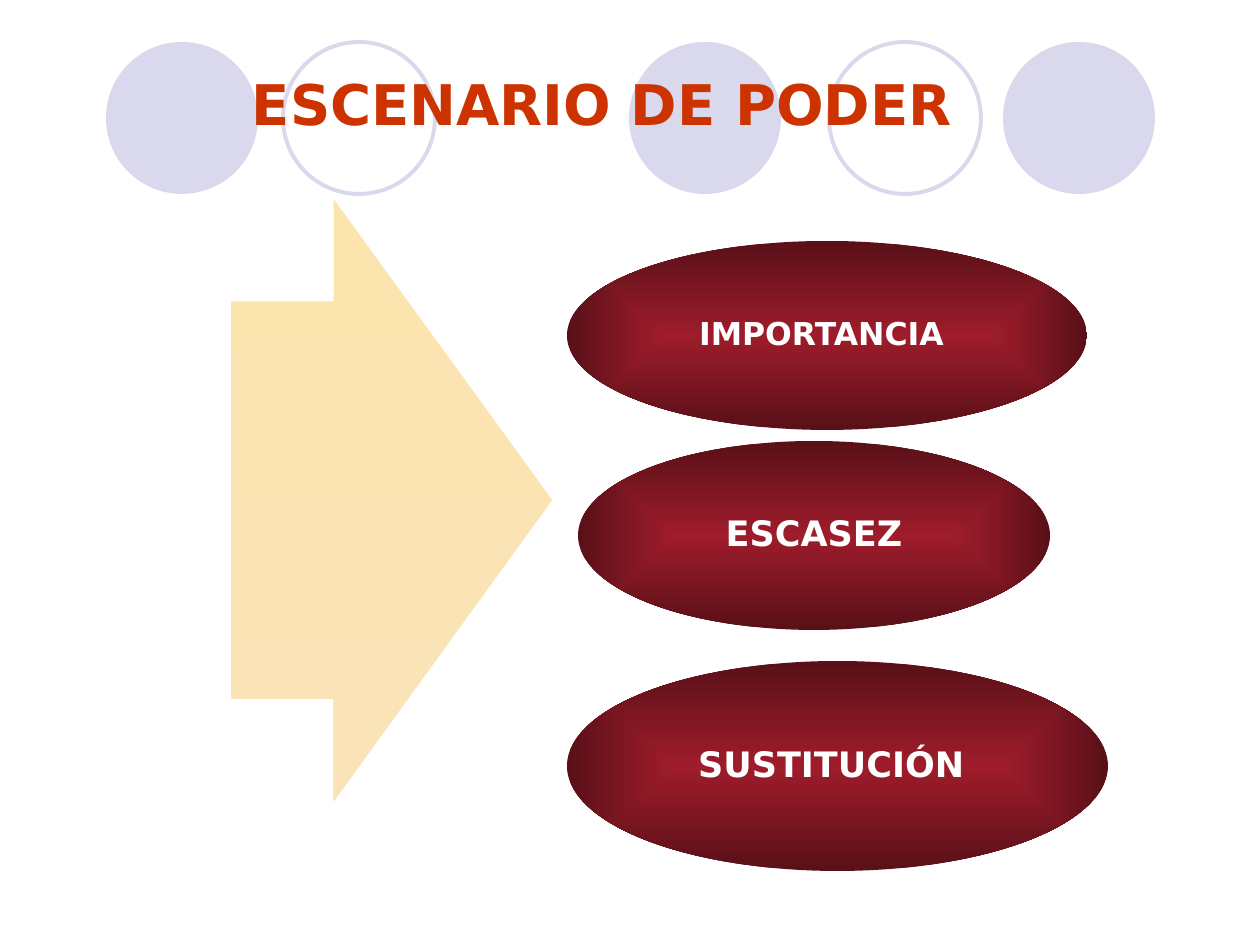
import pptx
import pptx.util
import pptx.dml.color
import pptx.enum.shapes
import pptx.enum.text
import pptx.oxml
import pptx.oxml.ns

EMU_PER_PX = 914400 // 126
FONT = "DejaVu Sans"
COLORS = {
    "circle": "D9D8EC",
    "title": "CC3300",
    "arrow_top": "FBE4AE",
    "arrow_bottom": "FAE3B7",
    "oval_center": "9E1C2B",
    "oval_edge": "591018",
    "oval_text": "FFFFFF",
}

TITLE = "ESCENARIO DE PODER"
TITLE_BOX = (100, 49, 1061, 100)
CIRCLE_SIZE = 152
CIRCLES = [
    (629, 42, True),
    (1003, 42, True),
    (106, 42, True),
    (829, 42, False),
    (283, 42, False),
]
ARROW_BOX = (231, 199, 321, 602)
OVALS = [
    ("IMPORTANCIA ", 18, (567, 241, 520, 189)),
    ("SUSTITUCIÓN ", 20, (567, 661, 541, 210)),
    ("ESCASEZ", 20, (578, 441, 472, 189)),
]
SHAPES = pptx.enum.shapes.MSO_SHAPE
CENTER_PATH = (
    '<a:path %s path="rect"><a:fillToRect l="50000" t="50000" r="50000" b="50000"/></a:path>'
    % pptx.oxml.ns.nsdecls("a")
)


def px(value):
    return pptx.util.Emu(value * EMU_PER_PX)


def rgb(name):
    return pptx.dml.color.RGBColor.from_string(COLORS[name])


def add_plain_shape(slide, kind, box):
    shape = slide.shapes.add_shape(kind, *map(px, box))
    shape.shadow.inherit = False
    shape.line.fill.background()
    return shape


def fill_gradient(shape, names, from_center=False):
    shape.fill.gradient()
    for stop, name in zip(shape.fill.gradient_stops, names):
        stop.color.rgb = rgb(name)
    shape.fill.gradient_angle = 270
    if from_center:
        linear = shape._element.spPr.find(".//" + pptx.oxml.ns.qn("a:lin"))
        linear.getparent().replace(linear, pptx.oxml.parse_xml(CENTER_PATH))


def write_text(shape, text, size, color, wrap):
    frame = shape.text_frame
    frame.text = text
    frame.word_wrap = wrap
    frame.vertical_anchor = pptx.enum.text.MSO_ANCHOR.MIDDLE
    paragraph = frame.paragraphs[0]
    paragraph.alignment = pptx.enum.text.PP_ALIGN.CENTER
    font = paragraph.runs[0].font
    font.name = FONT
    font.size = pptx.util.Pt(size)
    font.bold = True
    font.color.rgb = rgb(color)
    return frame


def main():
    presentation = pptx.Presentation()
    presentation.slide_width = pptx.util.Inches(10)
    presentation.slide_height = pptx.util.Inches(7.5)
    slide = presentation.slides.add_slide(presentation.slide_layouts[6])

    for left, top, filled in CIRCLES:
        circle = add_plain_shape(slide, SHAPES.OVAL, (left, top, CIRCLE_SIZE, CIRCLE_SIZE))
        if filled:
            circle.fill.solid()
            circle.fill.fore_color.rgb = rgb("circle")
        else:
            circle.fill.background()
            circle.line.color.rgb = rgb("circle")
            circle.line.width = pptx.util.Pt(2.25)

    title = slide.shapes.add_textbox(*map(px, TITLE_BOX))
    frame = write_text(title, TITLE, 32, "title", True)
    frame.margin_right = px(69)
    frame.margin_top = px(14)

    arrow = add_plain_shape(slide, SHAPES.RIGHT_ARROW, ARROW_BOX)
    arrow.adjustments[0] = 0.66
    arrow.adjustments[1] = 0.68
    fill_gradient(arrow, ("arrow_top", "arrow_bottom"))

    for text, size, box in OVALS:
        oval = add_plain_shape(slide, SHAPES.OVAL, box)
        fill_gradient(oval, ("oval_center", "oval_edge"), from_center=True)
        frame = write_text(oval, text, size, "oval_text", False)
        frame.paragraphs[0].line_spacing = 0.9

    presentation.save("out.pptx")


if __name__ == "__main__":
    main()
